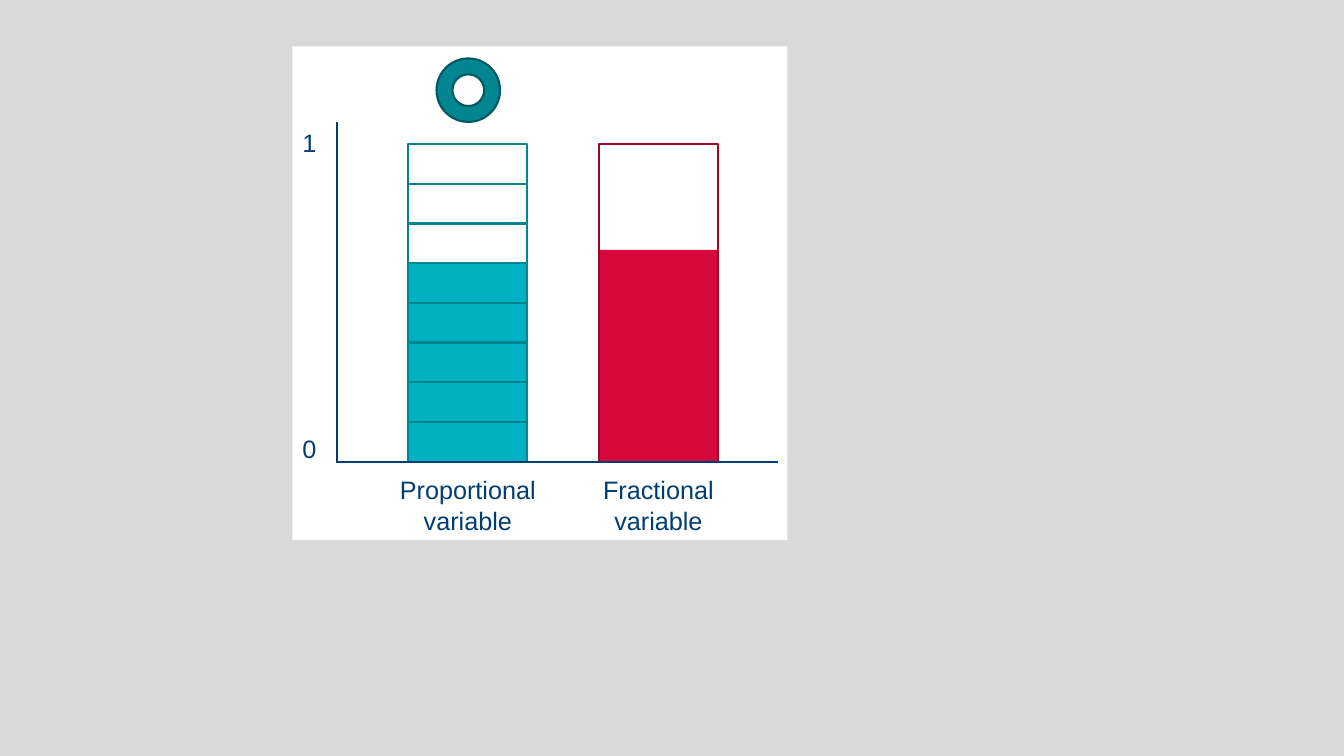
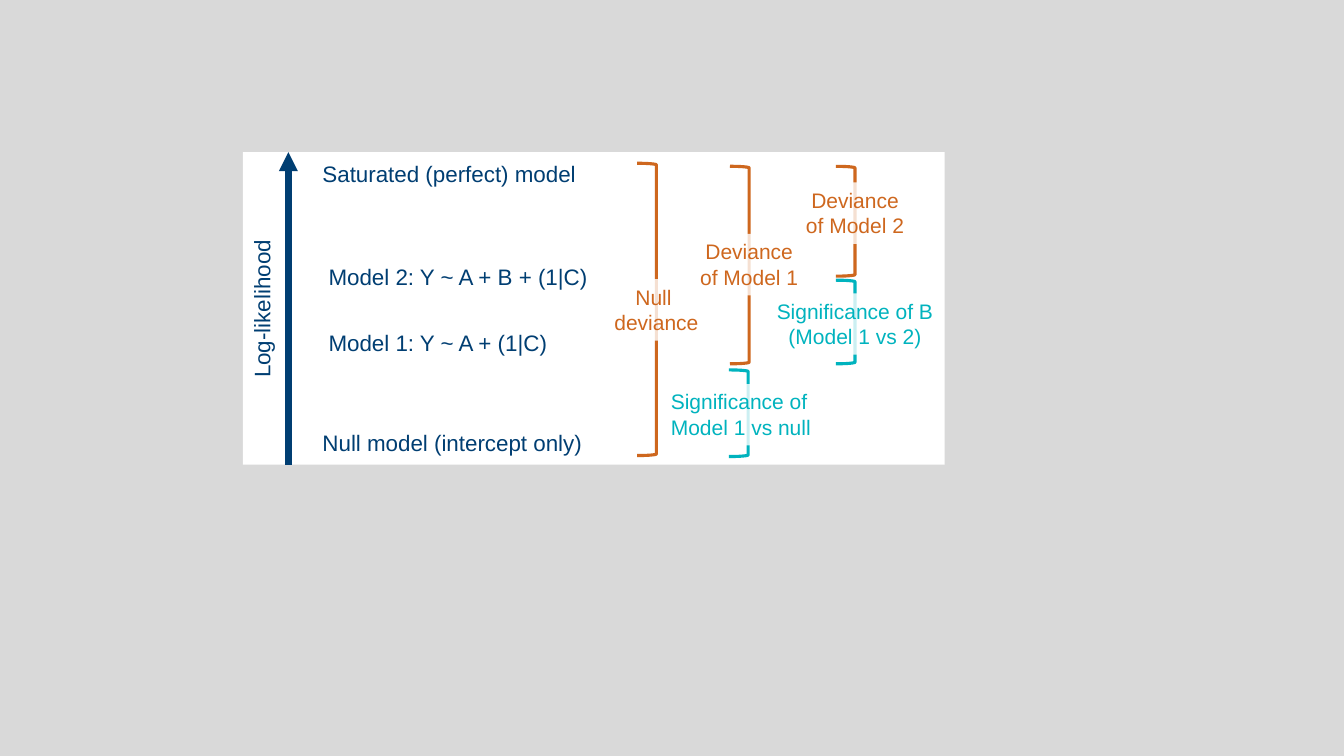
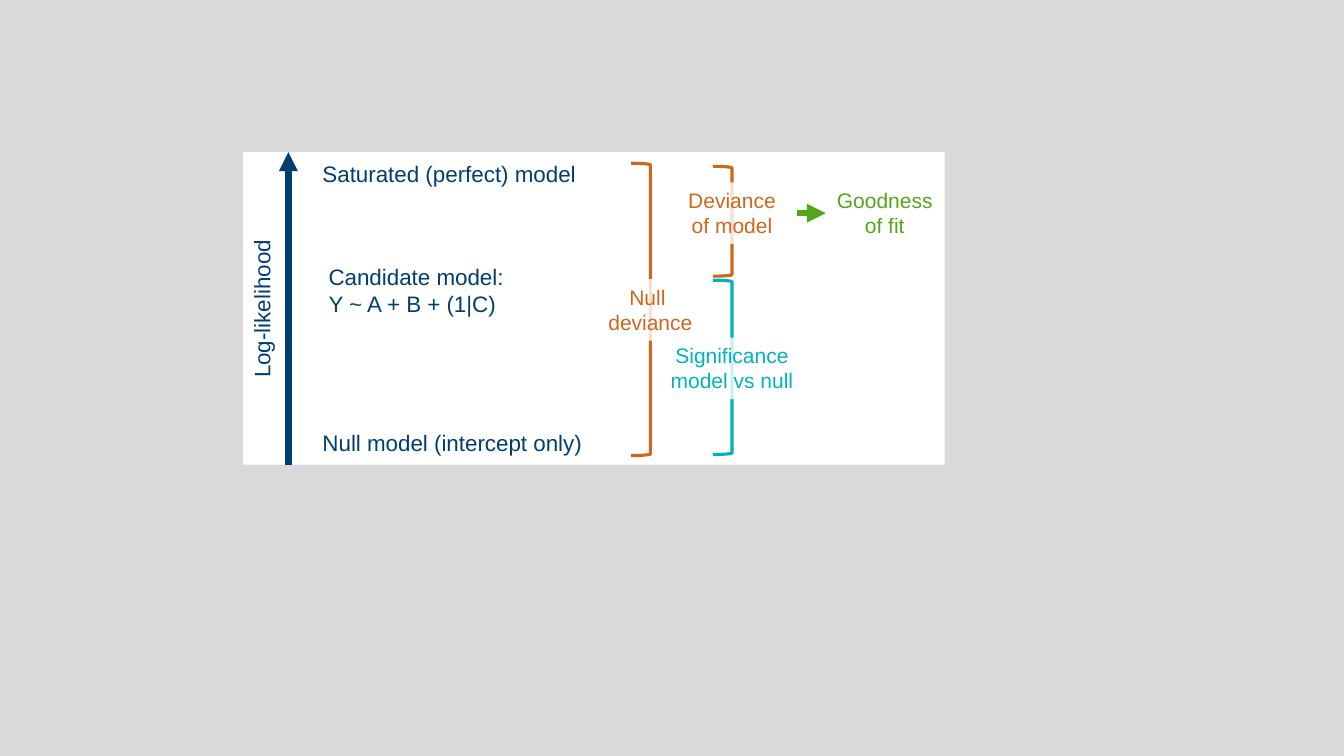
from dataclasses import dataclass

from lxml import etree
from pptx import Presentation
from pptx.dml.color import RGBColor
from pptx.enum.shapes import MSO_CONNECTOR, MSO_SHAPE
from pptx.enum.text import MSO_ANCHOR, MSO_AUTO_SIZE, PP_ALIGN
from pptx.oxml.ns import qn
from pptx.util import Inches, Pt

RECT = MSO_SHAPE.RECTANGLE
DONUT = MSO_SHAPE.DONUT
BRACKET = MSO_SHAPE.RIGHT_BRACKET
STRAIGHT = MSO_CONNECTOR.STRAIGHT
LEFT, CENTER, RIGHT = PP_ALIGN.LEFT, PP_ALIGN.CENTER, PP_ALIGN.RIGHT
TOP = MSO_ANCHOR.TOP
FIT_SHAPE = MSO_AUTO_SIZE.SHAPE_TO_FIT_TEXT

COLORS = {
    "backdrop": "D9D9D9",
    "panel": "FFFFFF",
    "navy": "003E72",
    "teal": "00B1C1",
    "deep_teal": "008591",
    "dark_teal": "005860",
    "red": "D6083B",
    "dark_red": "A0062C",
    "orange": "CE671E",
    "cyan": "00B3BE",
    "green": "55A51C",
}
FONT = "Arial"
BRACKET_WIDTH = 0.19
LABEL_HEIGHT = 0.61


@dataclass(frozen=True)
class Box:
    left: float
    top: float
    width: float
    height: float

    def lengths(self) -> tuple:
        return tuple(Inches(v) for v in (self.left, self.top, self.width, self.height))


@dataclass(frozen=True)
class Caption:
    box: Box
    lines: tuple[str, ...]
    size: float = 16
    align: PP_ALIGN = LEFT
    rotation: float = 0


@dataclass(frozen=True)
class Span:
    """A bracket and the label centred on its right-hand side."""
    left: float
    top: float
    height: float
    label_top: float
    label_width: float
    lines: tuple[str, ...]
    color: str
    align: PP_ALIGN = CENTER


def rgb(color: str) -> RGBColor:
    return RGBColor.from_string(COLORS[color])


# Drawing helpers
def add_figure(shapes, preset, box: Box, fill: str | None = None,
               line: str | None = None, weight: float = 1.5):
    figure = shapes.add_shape(preset, *box.lengths())
    figure.shadow.inherit = False
    if fill:
        figure.fill.solid()
        figure.fill.fore_color.rgb = rgb(fill)
    else:
        figure.fill.background()
    if line:
        figure.line.color.rgb = rgb(line)
        figure.line.width = Pt(weight)
    else:
        figure.line.fill.background()
    return figure


def add_line(shapes, start: tuple[float, float], end: tuple[float, float],
             color: str, weight: float, arrow: bool = False):
    points = [Inches(v) for v in (*start, *end)]
    connector = shapes.add_connector(STRAIGHT, *points)
    connector.line.color.rgb = rgb(color)
    connector.line.width = Pt(weight)
    if arrow:
        outline = connector.line._get_or_add_ln()
        etree.SubElement(outline, qn("a:tailEnd"), type="triangle")
    etree.SubElement(connector._element.spPr, qn("a:effectLst"))
    return connector


def write(holder, lines: tuple[str, ...], size: float, color: str, align: PP_ALIGN) -> None:
    frame = holder.text_frame
    frame.word_wrap = True
    frame.auto_size = FIT_SHAPE
    frame.vertical_anchor = TOP
    for index, line in enumerate(lines):
        paragraph = frame.add_paragraph() if index else frame.paragraphs[0]
        paragraph.alignment = align
        run = paragraph.add_run()
        run.text = line
        run.font.name = FONT
        run.font.size = Pt(size)
        run.font.color.rgb = rgb(color)


def add_caption(shapes, caption: Caption) -> None:
    textbox = shapes.add_textbox(*caption.box.lengths())
    textbox.rotation = caption.rotation
    write(textbox, caption.lines, caption.size, "navy", caption.align)


def add_label(shapes, box: Box, lines: tuple[str, ...], color: str, align: PP_ALIGN = CENTER):
    label = add_figure(shapes, RECT, box, "panel")
    fill_color = label._element.spPr.find(f"{qn('a:solidFill')}/{qn('a:srgbClr')}")
    etree.SubElement(fill_color, qn("a:alpha"), val="80000")
    write(label, lines, 15, color, align)
    return label


def add_span(slide, span: Span):
    group = slide.shapes.add_group_shape().shapes
    add_figure(group, BRACKET, Box(span.left, span.top, BRACKET_WIDTH, span.height),
               line=span.color, weight=2.25)
    label_left = span.left + BRACKET_WIDTH - span.label_width / 2
    label_box = Box(label_left, span.label_top, span.label_width, LABEL_HEIGHT)
    return add_label(group, label_box, span.lines, span.color, span.align)


def add_slide(prs, panel: Box):
    slide = prs.slides.add_slide(prs.slide_layouts[6])
    add_figure(slide.shapes, RECT, panel, "panel")
    return slide


# Slide 1: proportional and fractional variables
def build_variables(prs) -> None:
    shapes = add_slide(prs, Box(2.9, 0.46, 4.91, 4.9)).shapes
    baseline, bar_top, bar_width = 4.58, 1.43, 1.18
    proportional_left, fractional_left = 4.05, 5.94
    bar_height = baseline - bar_top
    add_line(shapes, (3.34, 1.21), (3.34, baseline), "navy", 1.5)

    segments, filled = 8, 5
    step = bar_height / segments
    for number in range(segments):
        segment = Box(proportional_left, baseline - (number + 1) * step, bar_width, step)
        add_figure(shapes, RECT, segment, "teal" if number < filled else None, "deep_teal")

    fraction_height = 2.1
    add_figure(shapes, RECT, Box(fractional_left, baseline - fraction_height,
                                 bar_width, fraction_height), "red")
    add_figure(shapes, RECT, Box(fractional_left, bar_top, bar_width, bar_height),
               line="dark_red")
    add_line(shapes, (3.33, baseline), (7.72, baseline), "navy", 1.5)

    name_width = 1.82
    for bar_left, name in ((proportional_left, "Proportional variable"),
                           (fractional_left, "Fractional variable")):
        name_left = bar_left + (bar_width - name_width) / 2
        add_caption(shapes, Caption(Box(name_left, 4.66, name_width, 0.71), (name,), 18, CENTER))
    for tick, top in (("0", 4.25), ("1", 1.21)):
        add_caption(shapes, Caption(Box(2.9, top, 0.32, 0.4), (tick,), 18, RIGHT))

    add_figure(shapes, DONUT, Box(4.33, 0.58, 0.63, 0.63), "deep_teal", "dark_teal")


# Slides 2 and 3: models on the log-likelihood axis
SHARED_CAPTIONS = (
    Caption(Box(3.1, 4.21, 2.79, 0.37), ("Null model (intercept only)",)),
    Caption(Box(3.1, 1.54, 2.79, 0.37), ("Saturated (perfect) model",)),
    Caption(Box(1.34, 2.88, 2.51, 0.37), ("Log-likelihood",), align=CENTER, rotation=270),
)


def null_deviance(left: float) -> Span:
    return Span(left, 1.62, 2.9, 2.77, 1.15, ("Null ", "deviance"), "orange")


def upper_deviance(left: float, model: str) -> Span:
    return Span(left, 1.65, 1.09, 1.81, 1.28, ("Deviance", f"of {model}"), "orange")


def build_likelihood(prs, models: tuple[Caption, ...], spans: tuple[Span, ...]):
    panel = Box(2.41, 1.51, 6.96, 3.1)
    slide = add_slide(prs, panel)
    add_line(slide.shapes, (2.86, panel.top + panel.height), (2.86, panel.top),
             "navy", 4.5, arrow=True)
    for caption in SHARED_CAPTIONS + models:
        add_caption(slide.shapes, caption)
    labels = [add_span(slide, span) for span in spans]
    return slide, labels


def build_model_comparison(prs) -> None:
    models = (
        Caption(Box(3.16, 2.56, 2.95, 0.37), ("Model 2: Y ~ A + B + (1|C)",)),
        Caption(Box(3.16, 3.22, 2.51, 0.37), ("Model 1: Y ~ A + (1|C)",)),
    )
    spans = (
        null_deviance(6.32),
        Span(8.29, 2.78, 0.83, 2.91, 1.77, ("Significance of B ", "(Model 1 vs 2)"), "cyan"),
        Span(7.23, 3.67, 0.86, 3.81, 1.73, ("Significance of Model 1 vs null",), "cyan", LEFT),
        Span(7.24, 1.65, 1.96, 2.32, 1.28, ("Deviance", "of Model 1"), "orange"),
        upper_deviance(8.29, "Model 2"),
    )
    build_likelihood(prs, models, spans)


def build_goodness_of_fit(prs) -> None:
    models = (Caption(Box(3.16, 2.56, 2.95, 0.64), ("Candidate model:", "Y ~ A + B + (1|C)")),)
    spans = (
        null_deviance(6.26),
        Span(7.07, 2.78, 1.73, 3.35, 1.44, ("Significance", "model vs null"), "cyan"),
        upper_deviance(7.07, "model"),
    )
    slide, labels = build_likelihood(prs, models, spans)
    deviance = labels[-1]
    goodness = add_label(slide.shapes, Box(8.19, 1.81, 1.17, LABEL_HEIGHT),
                         ("Goodness of fit",), "green")
    implication = add_line(slide.shapes, (7.9, 2.12), (8.19, 2.12), "green", 4.5, arrow=True)
    implication.begin_connect(deviance, 3)
    implication.end_connect(goodness, 1)


def main() -> None:
    prs = Presentation()
    prs.slide_width, prs.slide_height = Inches(13.33), Inches(7.5)
    backdrop = prs.slide_master.background.fill
    backdrop.solid()
    backdrop.fore_color.rgb = rgb("backdrop")
    build_variables(prs)
    build_model_comparison(prs)
    build_goodness_of_fit(prs)
    prs.save("out.pptx")


if __name__ == "__main__":
    main()
